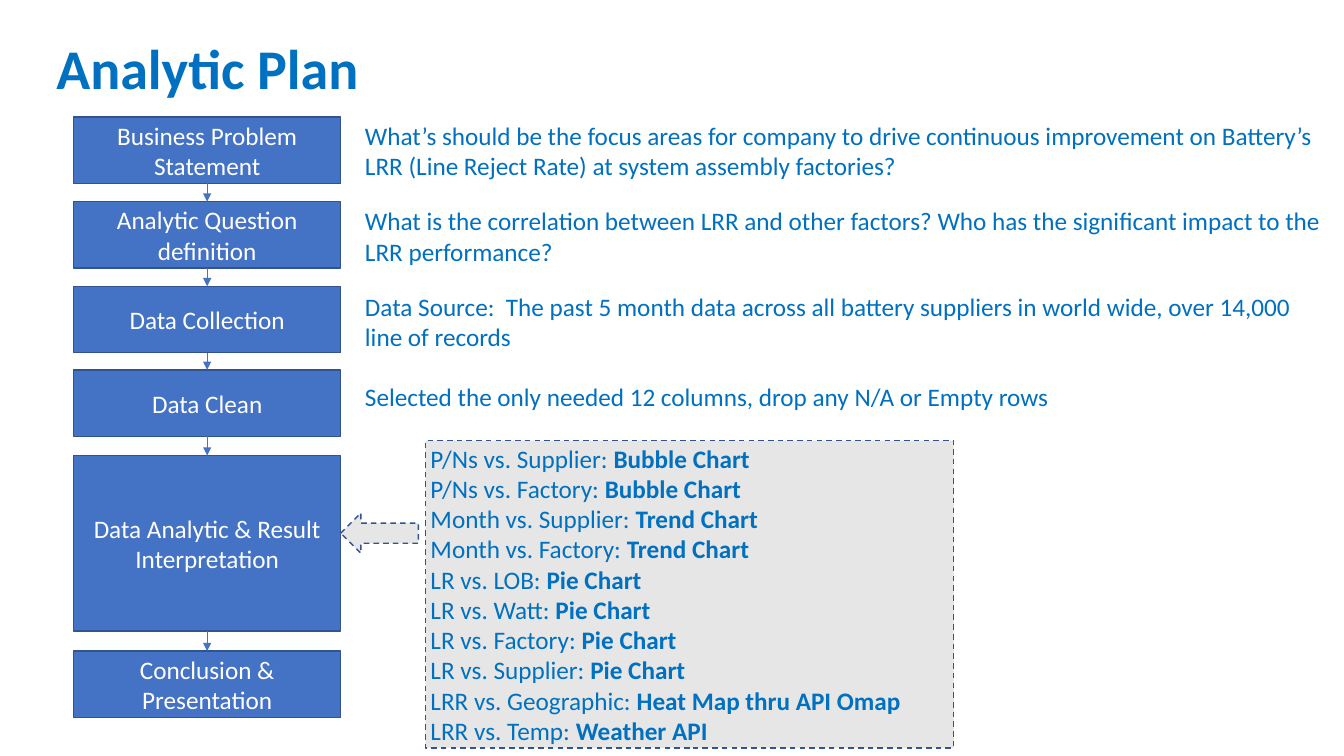
import pptx
import pptx.util
import pptx.dml.color
import pptx.enum.dml
import pptx.enum.shapes
import pptx.enum.text
import pptx.oxml

Inches = pptx.util.Inches
Pt = pptx.util.Pt
SHAPE = pptx.enum.shapes.MSO_SHAPE
ALIGN = pptx.enum.text.PP_ALIGN
ANCHOR = pptx.enum.text.MSO_ANCHOR

BLUE, EDGE, INK, GREY, WHITE = "4472C4", "32538F", "0070C0", "E7E6E6", "FFFFFF"
TITLE = "Analytic Plan"
STEPS = [
    ("Business Problem Statement", 1.16, 0.66),
    ("Analytic Question definition", 2.0, 0.66),
    ("Data Collection", 2.84, 0.66),
    ("Data Clean", 3.67, 0.66),
    ("Data Analytic & Result Interpretation", 4.52, 1.74),
    ("Conclusion & Presentation", 6.46, 0.66),
]
NOTES = [
    ("What’s should be the focus areas for company to drive continuous improvement "
     "on Battery’s LRR (Line Reject Rate) at system assembly factories?", 1.14, 9.58, 0.68),
    ("What is the correlation between LRR and other factors? "
     "Who has the significant impact to the LRR performance?", 1.99, 9.58, 0.68),
    ("Data Source:  The past 5 month data across all battery suppliers in world wide, "
     "over 14,000 line of records", 2.84, 9.39, 0.68),
    ("Selected the only needed 12 columns, drop any N/A or Empty rows", 3.73, 9.39, 0.39),
]
CHARTS = [
    ("P/Ns vs. Supplier: ", "Bubble Chart"),
    ("P/Ns vs. Factory: ", "Bubble Chart"),
    ("Month vs. Supplier: ", "Trend Chart"),
    ("Month vs. Factory: ", "Trend Chart"),
    ("LR vs. LOB: ", "Pie Chart"),
    ("LR vs. Watt: ", "Pie Chart"),
    ("LR vs. Factory: ", "Pie Chart"),
    ("LR vs. Supplier: ", "Pie Chart"),
    ("LRR vs. Geographic: ", "Heat Map thru API Omap"),
    ("LRR vs. Temp: ", "Weather API"),
]
LEFT, WIDE, NOTE = 0.73, 2.65, 3.57

deck = pptx.Presentation()
deck.slide_width, deck.slide_height = Inches(13.33), Inches(7.5)
slide = deck.slides.add_slide(deck.slide_layouts[6])
shapes = slide.shapes


def tint(code):
    return pptx.dml.color.RGBColor.from_string(code)


def write(shape, rows, size=18, color=INK, bold=False, align=ALIGN.LEFT,
          anchor=ANCHOR.TOP, pad=0.05):
    frame = shape.text_frame
    frame.word_wrap = True
    frame.vertical_anchor = anchor
    frame.margin_left = frame.margin_right = Inches(0.05)
    frame.margin_top = frame.margin_bottom = Inches(pad)
    for i, row in enumerate(rows):
        para = frame.add_paragraph() if i else frame.paragraphs[0]
        para.alignment = align
        for j, part in enumerate(row):
            run = para.add_run()
            run.text = part
            run.font.name = "Calibri"
            run.font.size = Pt(size)
            run.font.bold = bold or j > 0
            run.font.color.rgb = tint(color)


def label(text, x, y, w, h, **style):
    write(shapes.add_textbox(*map(Inches, (x, y, w, h))), [(text,)], **style)


def block(kind, x, y, w, h, fill, dash=False):
    shape = shapes.add_shape(kind, *map(Inches, (x, y, w, h)))
    shape.shadow.inherit = False
    shape.fill.solid()
    shape.fill.fore_color.rgb = tint(fill)
    shape.line.color.rgb = tint(EDGE)
    shape.line.width = Pt(1)
    if dash:
        shape.line.dash_style = pptx.enum.dml.MSO_LINE.DASH
    return shape


def link(top, low):
    line = shapes.add_connector(pptx.enum.shapes.MSO_CONNECTOR.STRAIGHT, 0, 0, 0, 0)
    line.begin_connect(top, 2)
    line.end_connect(low, 0)
    line.line.color.rgb = tint(BLUE)
    line.line.width = Pt(0.5)
    space = 'xmlns:a="http://schemas.openxmlformats.org/drawingml/2006/main"'
    line.line._get_or_add_ln().append(
        pptx.oxml.parse_xml(f'<a:tailEnd {space} type="triangle"/>'))
    line._element.spPr.append(pptx.oxml.parse_xml(f"<a:effectLst {space}/>"))


label(TITLE, 0.51, 0.28, 12.57, 0.75, size=40, bold=True)
for text, y, w, h in NOTES:
    label(text, NOTE, y, w, h)

boxes = []
for text, y, h in STEPS:
    box = block(SHAPE.RECTANGLE, LEFT, y, WIDE, h, BLUE)
    write(box, [(text,)], color=WHITE, align=ALIGN.CENTER, anchor=ANCHOR.MIDDLE, pad=0)
    boxes.append(box)
for top, low in zip(boxes, boxes[1:]):
    link(top, low)

panel = block(SHAPE.RECTANGLE, 4.22, 4.37, 5.24, 3.05, GREY, dash=True)
write(panel, CHARTS, anchor=ANCHOR.MIDDLE, pad=0)
block(SHAPE.LEFT_ARROW, LEFT + WIDE, 5.09, 0.77, 0.4, GREY, dash=True)

deck.save("out.pptx")
